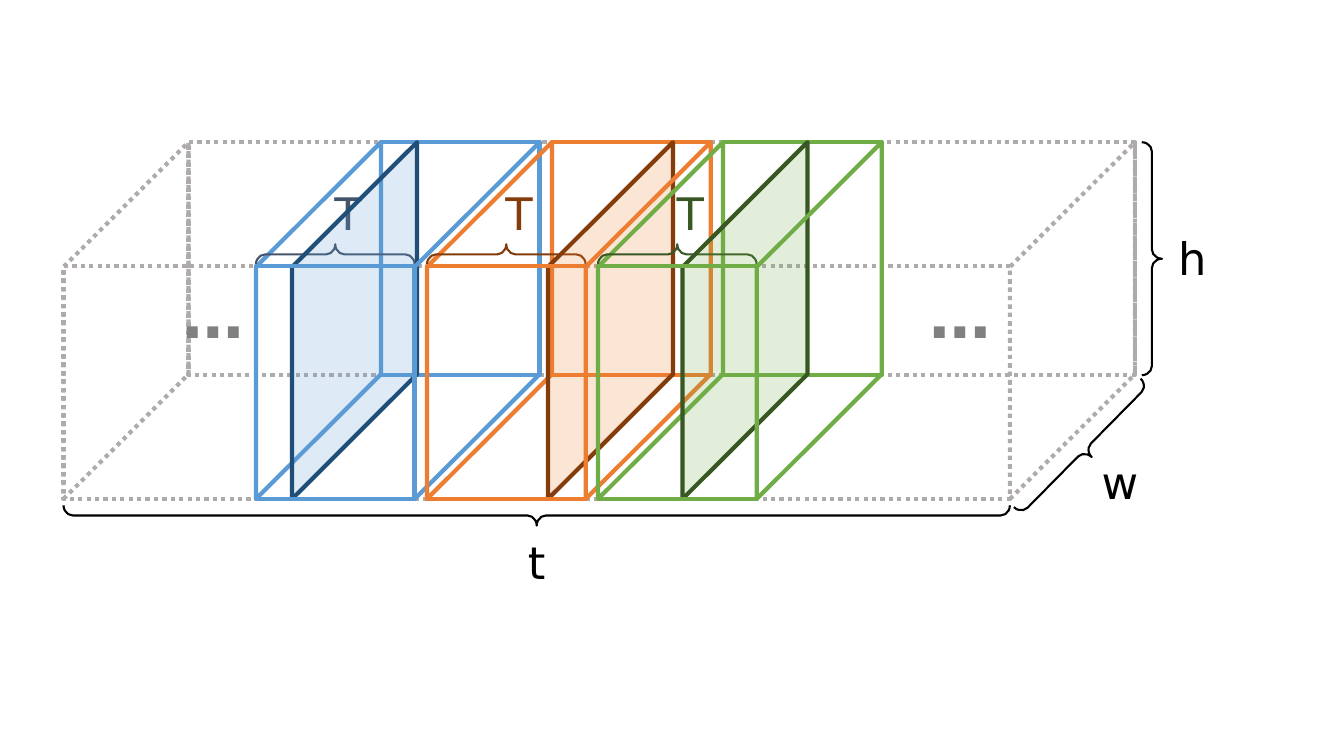
from pptx import Presentation
from pptx.dml.color import RGBColor
from pptx.enum.dml import MSO_LINE
from pptx.enum.shapes import MSO_SHAPE
from pptx.enum.text import MSO_AUTO_SIZE, PP_ALIGN
from pptx.oxml.ns import qn
from pptx.util import Cm, Pt

RECT = MSO_SHAPE.RECTANGLE
SLANT = MSO_SHAPE.PARALLELOGRAM
BRACE = MSO_SHAPE.RIGHT_BRACE
DOTTED = MSO_LINE.ROUND_DOT
GROW = MSO_AUTO_SIZE.SHAPE_TO_FIT_TEXT
CENTER = PP_ALIGN.CENTER

FONT = "DejaVu Sans"
BLACK = RGBColor(0x00, 0x00, 0x00)
SILVER = RGBColor(0xAF, 0xAB, 0xAB)
GRAY = RGBColor(0x80, 0x80, 0x80)
SLATE = RGBColor(0x44, 0x54, 0x6A)
BLUE = RGBColor(0x5B, 0x9B, 0xD5)
NAVY = RGBColor(0x1F, 0x4E, 0x79)
ORANGE = RGBColor(0xED, 0x7D, 0x31)
BROWN = RGBColor(0x84, 0x3C, 0x0B)
GREEN = RGBColor(0x70, 0xAD, 0x47)
FOREST = RGBColor(0x38, 0x57, 0x23)

# Box geometry in centimetres
FRONT_X, FRONT_Y = 1.6, 6.71
BACK_Y = 3.58
DEPTH = 3.15
HEIGHT = 5.87
LENGTH = 23.85
SIDE_Y, SIDE_LEN = 8.08, 8.99
BLOCK_X, BLOCK_LEN, STEP = 6.45, 4, 4.31
BRACE_W = 0.51

# Edge colour, slice colour, label colour, slice offset
BLOCKS = [
    (BLUE, NAVY, SLATE, 0.91),
    (ORANGE, BROWN, BROWN, 3.05),
    (GREEN, FOREST, FOREST, 2.13),
]


def outline(slide, kind, x, y, w, h, color, width=3, dash=None):
    shape = slide.shapes.add_shape(kind, Cm(x), Cm(y), Cm(w), Cm(h))
    shape.shadow.inherit = False
    shape.fill.background()
    shape.line.color.rgb = color
    shape.line.width = Pt(width)
    if dash:
        shape.line.dash_style = dash
    return shape


def side(slide, x, color, dash=None, tint=None):
    """Slanted face whose front edge stands at x."""
    left = x + (DEPTH - SIDE_LEN) / 2
    shape = outline(slide, SLANT, left, SIDE_Y - DEPTH / 2,
                    SIDE_LEN, DEPTH, color, dash=dash)
    shape.adjustments[0] = 0.998
    shape.rotation = 270
    shape.element.spPr.find(qn("a:xfrm")).set("flipV", "1")
    if tint:
        shape.fill.solid()
        shape.fill.fore_color.rgb = tint
        clr = shape.element.spPr.find(qn("a:solidFill")).find(qn("a:srgbClr"))
        clr.makeelement(qn("a:alpha"), {})
        alpha = clr.makeelement(qn("a:alpha"), {"val": "20000"})
        clr.append(alpha)


def brace(slide, mid_x, mid_y, span, turn=0, color=BLACK):
    shape = outline(slide, BRACE, mid_x - BRACE_W / 2, mid_y - span / 2,
                    BRACE_W, span, color, 1.5)
    shape.adjustments[0] = 0.456
    shape.adjustments[1] = 0.5
    shape.rotation = turn


def label(slide, text, x, y, w=1.09, h=1.63, size=32, color=BLACK, bold=False):
    frame = slide.shapes.add_textbox(Cm(x), Cm(y), Cm(w), Cm(h)).text_frame
    frame.word_wrap = True
    frame.auto_size = GROW
    par = frame.paragraphs[0]
    par.text = text
    par.alignment = CENTER
    par.font.name = FONT
    par.font.size = Pt(size)
    par.font.bold = bold
    par.font.color.rgb = color


def volume(slide):
    outline(slide, RECT, FRONT_X + DEPTH, BACK_Y, LENGTH, HEIGHT, SILVER, dash=DOTTED)
    for x in (FRONT_X + LENGTH, FRONT_X):
        side(slide, x, SILVER, DOTTED)
    outline(slide, RECT, FRONT_X, FRONT_Y, LENGTH, HEIGHT, SILVER, dash=DOTTED)


def block(slide, x, edge, dark, ink, shift):
    outline(slide, RECT, x + DEPTH, BACK_Y, BLOCK_LEN, HEIGHT, edge)
    side(slide, x, edge)
    brace(slide, x + BLOCK_LEN / 2, 6.41, BLOCK_LEN, 270, ink)
    label(slide, "T", x + 1.75, 4.55, w=0.48, color=ink)
    side(slide, x + shift, dark, tint=edge)
    outline(slide, RECT, x, FRONT_Y, BLOCK_LEN, HEIGHT, edge)
    side(slide, x + BLOCK_LEN, edge)


def main():
    deck = Presentation()
    deck.slide_width, deck.slide_height = Cm(33.87), Cm(19.05)
    slide = deck.slides.add_slide(deck.slide_layouts[6])

    # Whole volume with its three dimensions
    volume(slide)
    brace(slide, FRONT_X + LENGTH / 2, 12.99, LENGTH, 90)
    label(slide, "t", 12.98, 13.36)
    brace(slide, 27.33, 11.34, 4.55, 44.6)
    label(slide, "w", 27.51, 11.33)
    brace(slide, 29.03, 6.52, HEIGHT)
    label(slide, "h", 29.44, 5.69)

    # Blocks of length T, each with a tinted slice
    for i, style in enumerate(BLOCKS):
        block(slide, BLOCK_X + i * STEP, *style)

    # Continuation dots
    for x in (3.4, 22.23):
        label(slide, "…", x, 6.86, 3.96, 2.13, 44, GRAY, True)

    deck.save("out.pptx")


if __name__ == "__main__":
    main()
